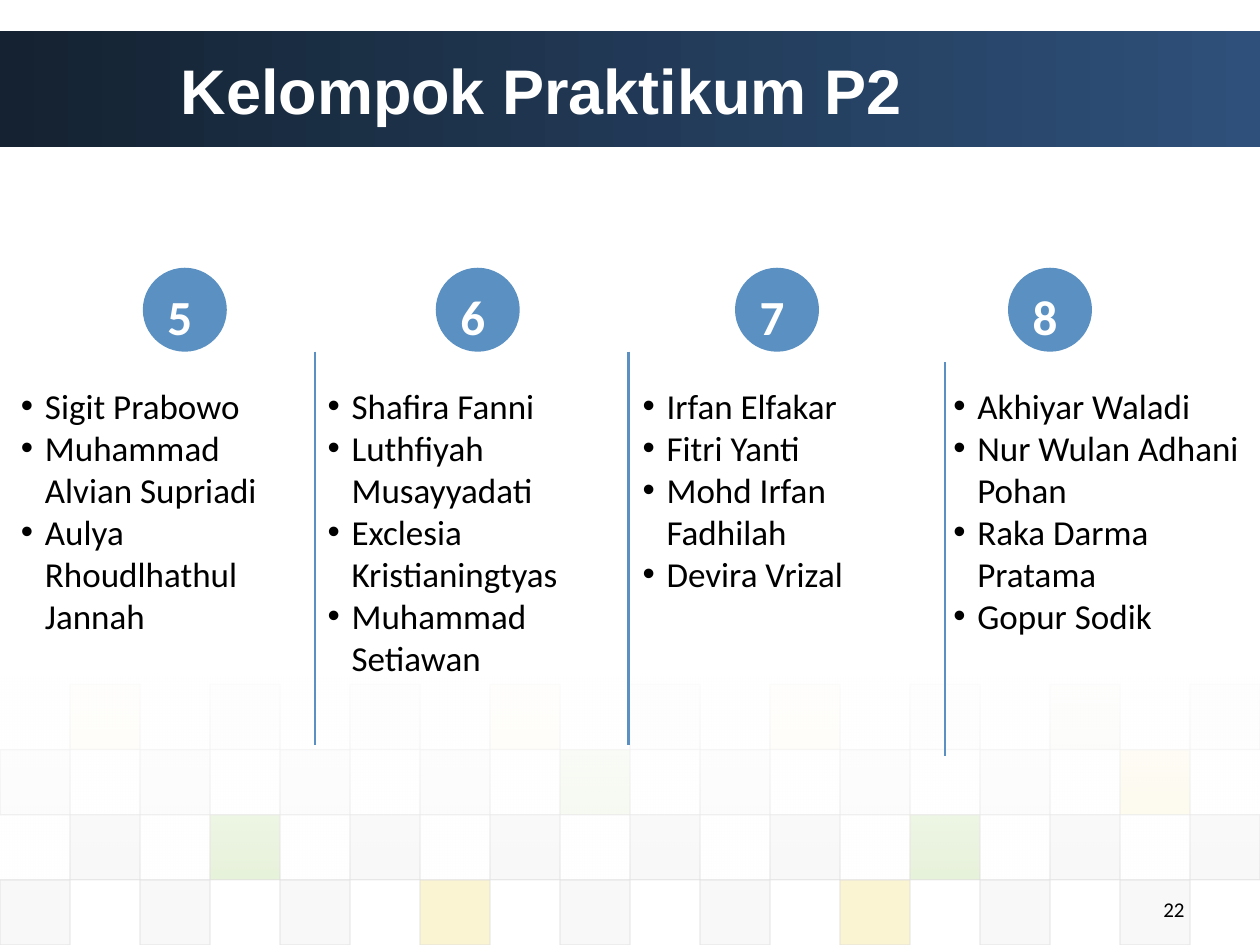
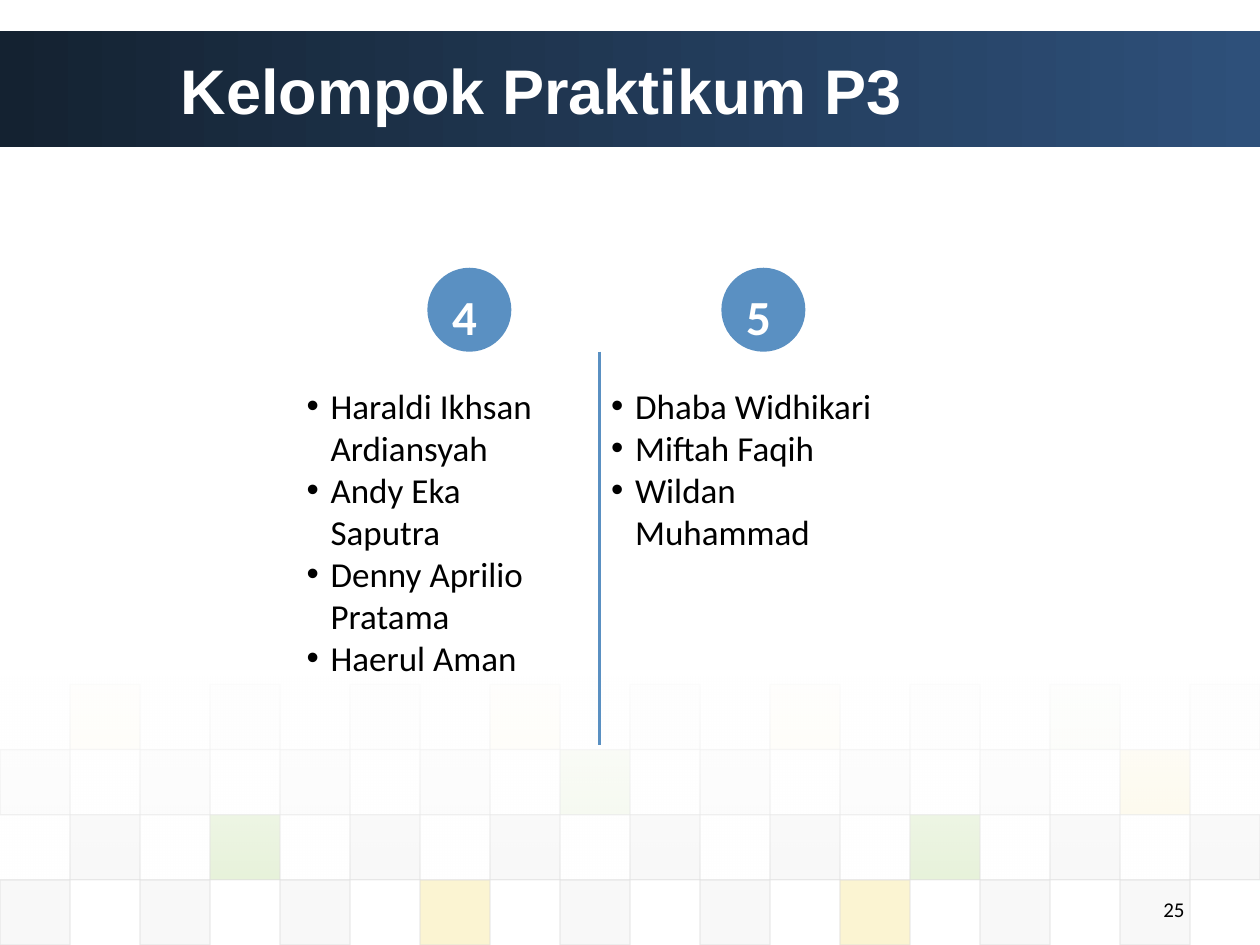
"""Build the two practicum group slides."""
from lxml.etree import SubElement
from pptx import Presentation
from pptx.dml.color import RGBColor
from pptx.enum.shapes import MSO_CONNECTOR, MSO_SHAPE
from pptx.enum.text import MSO_ANCHOR, MSO_AUTO_SIZE, PP_ALIGN
from pptx.oxml.ns import qn
from pptx.util import Inches, Pt

NAVY = RGBColor(0x14, 0x22, 0x31)
STEEL = RGBColor(0x2E, 0x50, 0x7A)
BLUE = RGBColor(0x5A, 0x90, 0xC2)
WHITE = RGBColor(0xFF, 0xFF, 0xFF)
BLACK = RGBColor(0x00, 0x00, 0x00)
GREY = RGBColor(0xDD, 0xDD, 0xDD)
PALE = RGBColor(0xEA, 0xEA, 0xEA)
GREEN = RGBColor(0x8A, 0xC2, 0x46)
YELLOW = RGBColor(0xEF, 0xC8, 0x21)

deck = Presentation()
deck.slide_width, deck.slide_height = Inches(10), Inches(7.5)
COL = deck.slide_width / 120
ROW = deck.slide_height / 90

TILE_COLOURS = {"d": GREY, "p": PALE, "g": GREEN, "y": YELLOW}
TILE_ROWS = [("yppydypgp", 1, 5), ("ddddgdddy", 0, 10),
             ("dgddddgdd", 1, 20), ("dddyddydd", 0, 20)]
TILE_WIDTH, TILE_HEIGHT, TILES_TOP = 120 / 18, 6.2, 65.2
CIRCLE_TOP, CIRCLE_SIZE, LIST_TOP, DIVIDER_HEIGHT = 25.5, 8, 36, 37.5

TWO_LISTS, FOUR_LISTS = 3, 4
SLIDES = [
    ("Kelompok Praktikum P2", "22", FOUR_LISTS, [
        ("5", 13.6, 0.8, 27.1, 6,
         ["Sigit Prabowo", "Muhammad Alvian Supriadi", "Aulya Rhoudlhathul Jannah"]),
        ("6", 41.5, 30, 30, 7,
         ["Shafira Fanni", "Luthfiyah Musayyadati", "Exclesia Kristianingtyas",
          "Muhammad Setiawan"]),
        ("7", 70, 60, 29, 5,
         ["Irfan Elfakar", "Fitri Yanti", "Mohd Irfan Fadhilah", "Devira Vrizal"]),
        ("8", 96, 89.6, 30.4, 6,
         ["Akhiyar Waladi", "Nur Wulan Adhani Pohan", "Raka Darma Pratama", "Gopur Sodik"]),
    ], [(30, 33.5), (59.85, 33.5), (90, 34.5)]),
    ("Kelompok Praktikum P3", "25", TWO_LISTS, [
        ("4", 40.7, 28, 27.1, 7,
         ["Haraldi Ikhsan Ardiansyah", "Andy Eka Saputra", "Denny Aprilio Pratama",
          "Haerul Aman"]),
        ("5", 68.7, 57, 30, 4,
         ["Dhaba Widhikari", "Miftah Faqih", "Wildan Muhammad"]),
    ], [(57.1, 33.5)]),
]


def add_block(slide, preset, left, top, width, height, colours, opacities=()):
    """Add a borderless shape with one fill colour or a two-stop gradient."""
    block = slide.shapes.add_shape(preset, int(left * COL), int(top * ROW),
                                   int(width * COL), int(height * ROW))
    block.shadow.inherit = False
    block.line.fill.background()
    if len(colours) == 1:
        block.fill.solid()
        block.fill.fore_color.rgb = colours[0]
    else:
        block.fill.gradient()
        for stop, colour in zip(block.fill.gradient_stops, colours):
            stop.color.rgb = colour
    for colour, opacity in zip(block.element.iter(qn("a:srgbClr")), opacities):
        SubElement(colour, qn("a:alpha"), val=str(opacity * 1000))
    return block


def add_run(paragraph, text, size, colour, font="Calibri", bold=False):
    """Add one formatted run to a paragraph."""
    run = paragraph.add_run()
    run.text = text
    run.font.name, run.font.size, run.font.bold = font, Pt(size), bold
    run.font.color.rgb = colour


for heading, number, layout, groups, dividers in SLIDES:
    slide = deck.slides.add_slide(deck.slide_layouts[layout])
    title, *name_lists = list(slide.placeholders)

    band = add_block(slide, MSO_SHAPE.RECTANGLE, 0, 3, 120, 11, [NAVY, STEEL])
    band.fill.gradient_angle = 0

    for row, (pattern, first, opacity) in enumerate(TILE_ROWS):
        for index, key in enumerate(pattern):
            tile = add_block(slide, MSO_SHAPE.RECTANGLE,
                             (first + 2 * index) * TILE_WIDTH,
                             TILES_TOP + row * TILE_HEIGHT, TILE_WIDTH, TILE_HEIGHT,
                             [TILE_COLOURS[key]], [opacity])
            tile.line.color.rgb = GREY
            tile.line.width = Pt(0.75)
            outline = tile.line.color
            for colour in tile.element.spPr.find(qn("a:ln")).iter(qn("a:srgbClr")):
                SubElement(colour, qn("a:alpha"), val="60000")

    veil = add_block(slide, MSO_SHAPE.RECTANGLE, 0, 64.4, 120, 19.4,
                     [WHITE, WHITE], [90, 0])
    veil.fill.gradient_angle = 270

    for placeholder in (title, *name_lists):
        placeholder.element.getparent().append(placeholder.element)

    title.left, title.top = int(16 * COL), int(3 * ROW)
    title.width, title.height = int(104 * COL), int(11 * ROW)
    title.text_frame.auto_size = MSO_AUTO_SIZE.NONE
    title.text_frame.vertical_anchor = MSO_ANCHOR.MIDDLE
    title.text_frame.paragraphs[0].alignment = PP_ALIGN.LEFT
    add_run(title.text_frame.paragraphs[0], heading, 36, WHITE, "Arial", True)

    page = slide.shapes.add_textbox(int(86 * COL), int(84.8 * ROW),
                                    int(28 * COL), int(4 * ROW))
    page.text_frame.word_wrap = True
    page.text_frame.paragraphs[0].alignment = PP_ALIGN.RIGHT
    add_run(page.text_frame.paragraphs[0], number, 12, BLACK)

    for name_list, group in zip(name_lists, groups):
        label, circle_left, list_left, list_width, lines, names = group
        circle = add_block(slide, MSO_SHAPE.OVAL, circle_left, CIRCLE_TOP,
                           CIRCLE_SIZE, CIRCLE_SIZE, [BLUE])
        circle.text_frame.vertical_anchor = MSO_ANCHOR.TOP
        circle.text_frame.paragraphs[0].alignment = PP_ALIGN.LEFT
        add_run(circle.text_frame.paragraphs[0], label, 28, WHITE, bold=True)

        name_list.left, name_list.top = int(list_left * COL), int(LIST_TOP * ROW)
        name_list.width = int(list_width * COL)
        name_list.height = int((4 * lines + 1.4) * ROW)
        frame = name_list.text_frame
        frame.word_wrap = True
        frame.auto_size = MSO_AUTO_SIZE.SHAPE_TO_FIT_TEXT
        frame.vertical_anchor = MSO_ANCHOR.TOP
        for index, name in enumerate(names):
            entry = frame.add_paragraph() if index else frame.paragraphs[0]
            entry.space_before = Pt(0)
            properties = entry._p.get_or_add_pPr()
            properties.set("marL", str(Inches(0.19)))
            properties.set("indent", str(-Inches(0.19)))
            SubElement(properties, qn("a:buFont"), typeface="Arial")
            SubElement(properties, qn("a:buChar"), char="•")
            add_run(entry, name, 20, BLACK)

    for x, top in dividers:
        divider = slide.shapes.add_connector(
            MSO_CONNECTOR.STRAIGHT, int(x * COL), int(top * ROW),
            int(x * COL), int((top + DIVIDER_HEIGHT) * ROW))
        divider.line.color.rgb = BLUE
        divider.line.width = Pt(1.5)
        SubElement(divider.element.spPr, qn("a:effectLst"))

deck.save("out.pptx")
